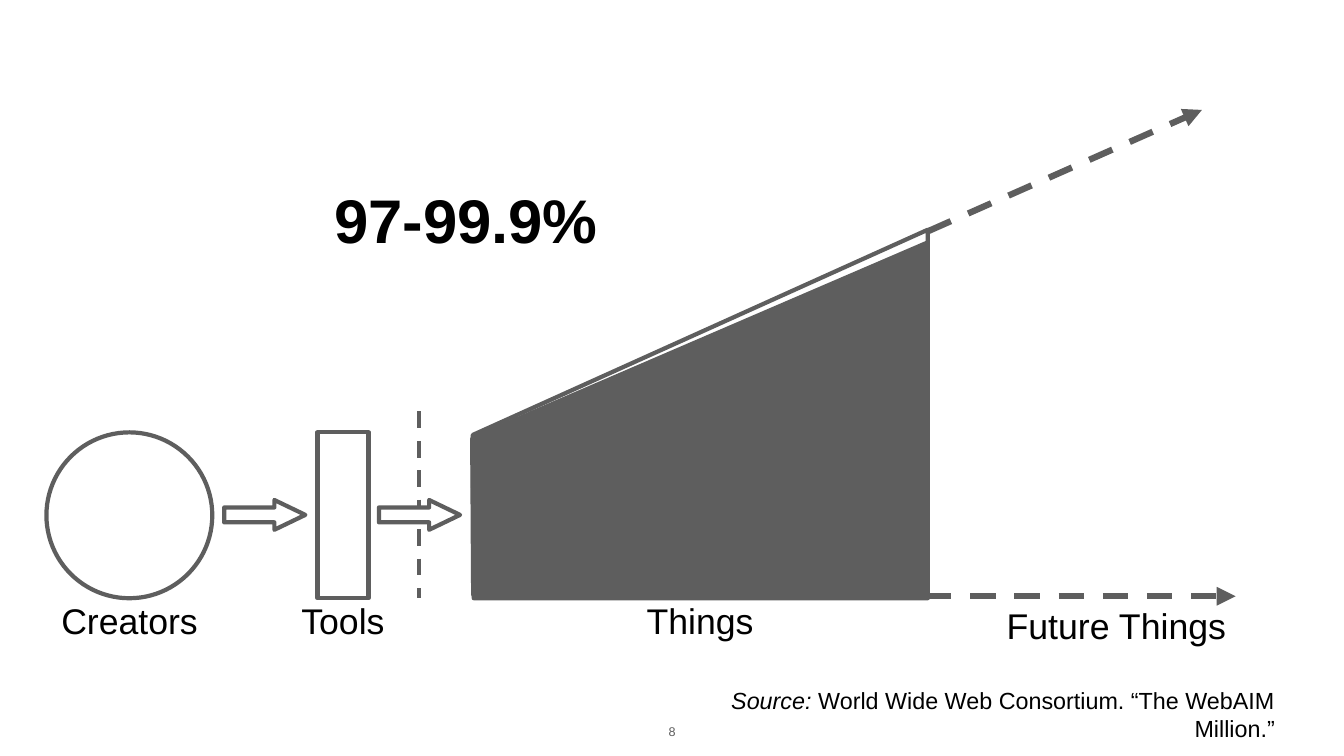
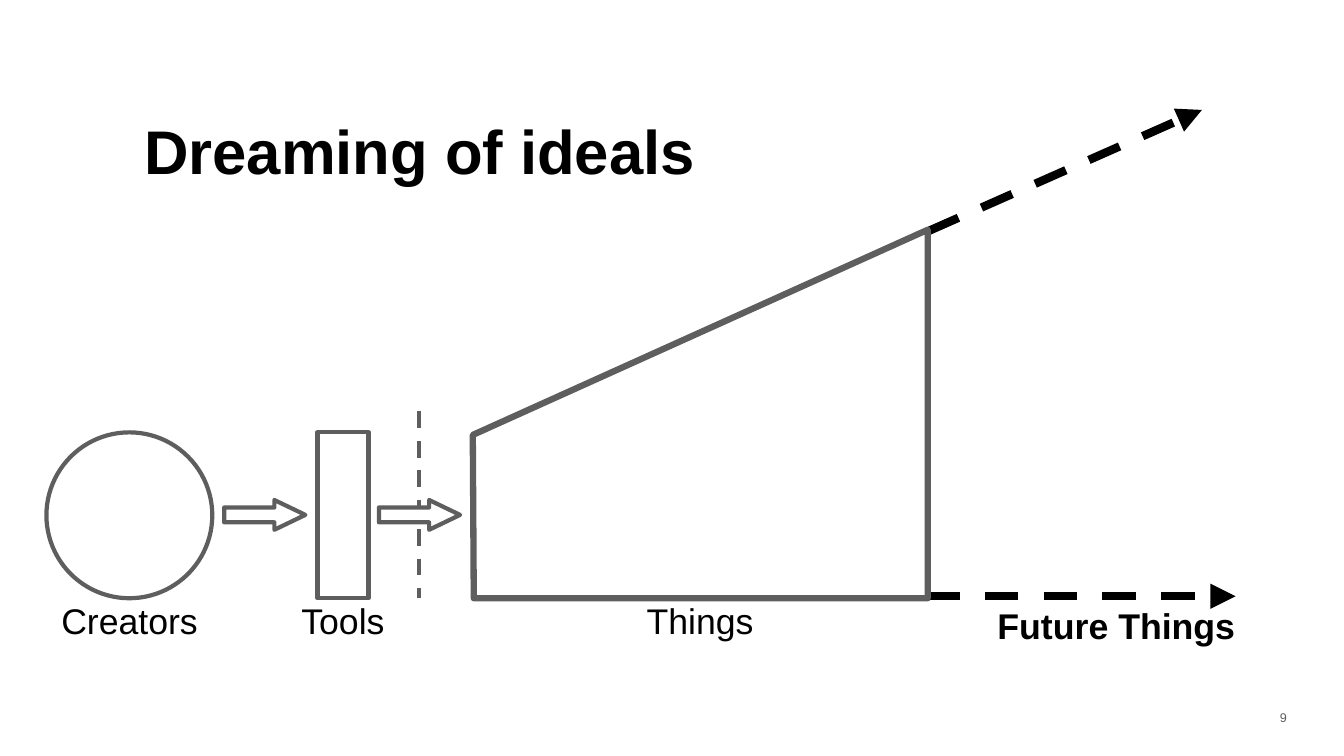
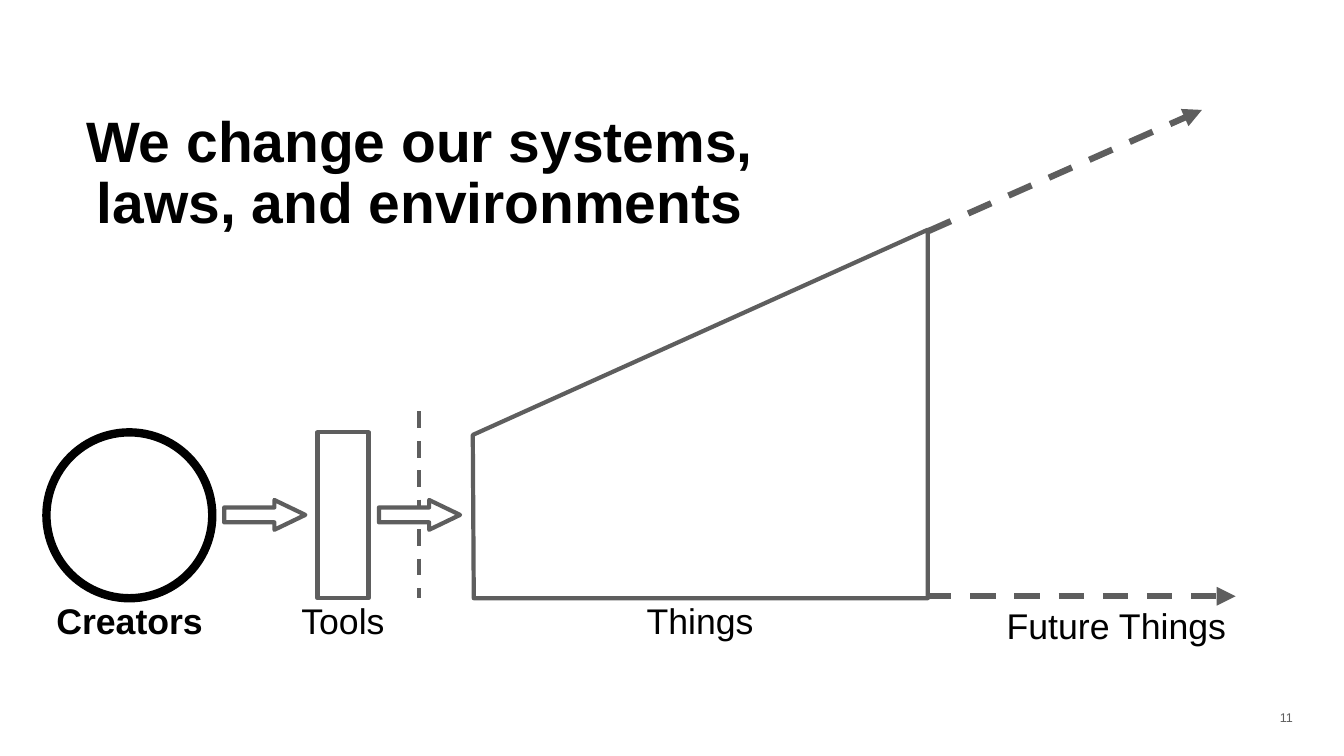
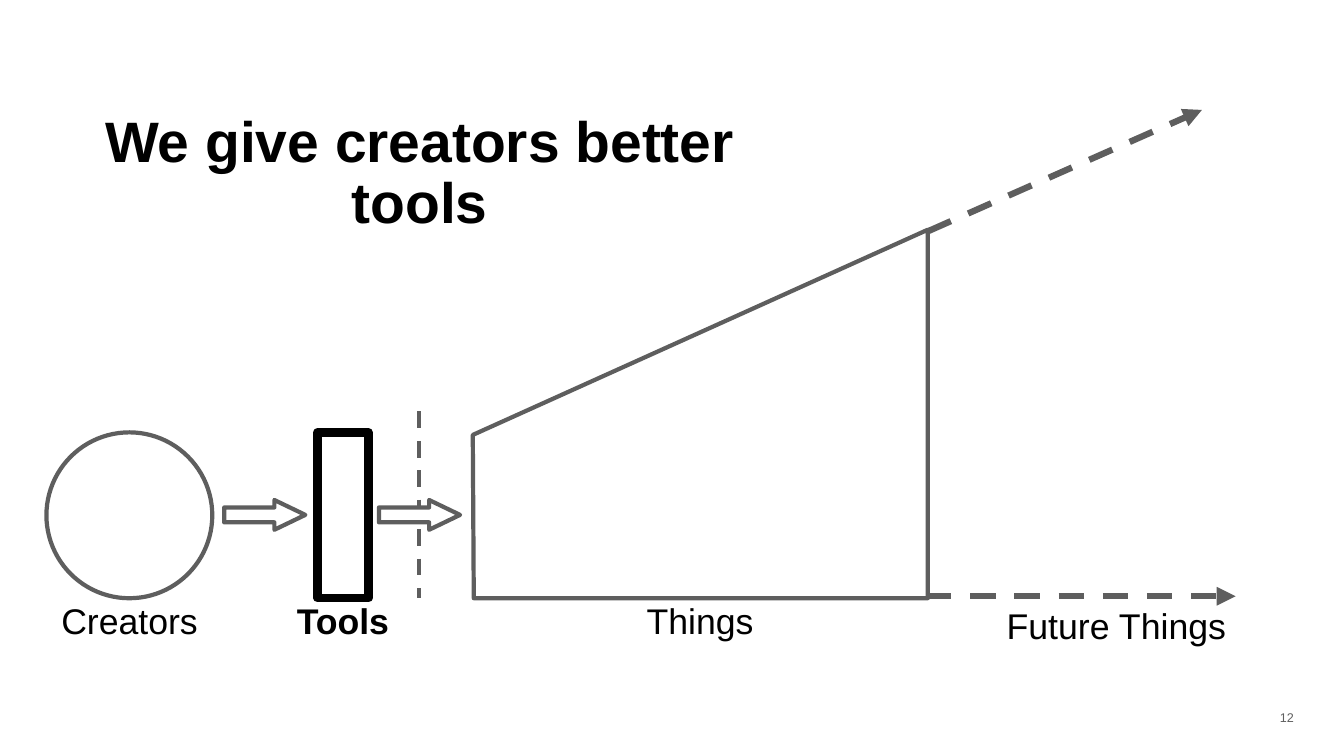
from dataclasses import dataclass
from typing import NamedTuple

from pptx import Presentation
from pptx.dml.color import RGBColor
from pptx.enum.dml import MSO_LINE
from pptx.enum.shapes import MSO_CONNECTOR, MSO_SHAPE
from pptx.enum.text import MSO_ANCHOR, MSO_AUTO_SIZE, PP_ALIGN
from pptx.oxml.ns import qn
from pptx.util import Cm, Pt
from lxml.etree import SubElement

COLORS = {"ink": "000000", "gray": "5E5E5E", "paper": "FFFFFF"}
FONT = "Arial"
THIN, MID, THICK = 6, 9, 12


class Box(NamedTuple):
    left: float
    top: float
    width: float
    height: float

    def emu(self) -> list:
        return [Cm(side) for side in self]


class Point(NamedTuple):
    x: float
    y: float


class Run(NamedTuple):
    text: str
    bold: bool = False
    italic: bool = False


@dataclass(frozen=True)
class Style:
    size: float
    align: PP_ALIGN = PP_ALIGN.CENTER
    spacing: float = 1.0
    color: str = "ink"
    inset: float = 0.15
    anchor: MSO_ANCHOR = MSO_ANCHOR.TOP


@dataclass(frozen=True)
class Label:
    text: str
    box: Box
    style: Style


@dataclass(frozen=True)
class Scene:
    title: str
    page: str
    focus: str = ""
    title_box: Box = Box(4.14, 5.54, 34.01, 7.59)
    title_style: Style = Style(81.4, spacing=0.9)
    page_box: Box = Box(63.73, 35.61, 1.68, 1.78)
    page_style: Style = Style(18, PP_ALIGN.LEFT, color="gray")
    wedge_line: float = THIN
    filled: bool = False
    source: tuple = ()


BASE = 30.15
NAME_TOP = 30.28
BODY_TOP, BODY_SIDE = 21.79, 8.36
NAME = Style(50.9, spacing=0.9)
BIG = Style(88)
SOURCE = Style(33.3, PP_ALIGN.RIGHT, inset=0.13)

LABELS = (
    Label("Creators", Box(1.6, NAME_TOP, 9.86, 2.92), NAME),
    Label("Tools", Box(10.92, NAME_TOP, 12.73, 2.92), NAME),
    Label("Things", Box(24.16, NAME_TOP, 22.25, 2.92), NAME),
    Label("Future Things", Box(45.59, NAME_TOP, 21.36, 3.71), Style(51)),
)
BODIES = {
    "Tools": (MSO_SHAPE.RECTANGLE, Box(16, BODY_TOP, 2.57, BODY_SIDE)),
    "Creators": (MSO_SHAPE.OVAL, Box(2.34, BODY_TOP, BODY_SIDE, BODY_SIDE)),
}
ARROWS = tuple(Box(left, 25.2, 4.09, 1.5) for left in (11.3, 19.1))
WEDGE = (Point(23.83, 21.92), Point(23.88, BASE),
         Point(46.76, BASE), Point(46.76, 11.58))
FILLED = (Point(23.8, 22.1), Point(23.85, 29.97),
          Point(46.71, 29.97), Point(46.71, 12.24))
BORDER = (Point(21.13, 20.73), Point(21.13, BASE))
RAYS = ((Point(46.76, 11.66), Point(60.58, 5.54)),
        (Point(46.68, 30.05), Point(62.28, 30.05)))
SOURCE_BOX = Box(33.86, 34.44, 30.53, 2.95)

SCENES = (
    Scene("97-99.9%", "8", title_box=Box(6.48, 9.02, 34.01, 7.59),
          title_style=BIG, page_box=Box(32.92, 35.61, 1.93, 1.78),
          page_style=Style(18, PP_ALIGN.LEFT, 0.9, "gray",
                           anchor=MSO_ANCHOR.BOTTOM),
          filled=True,
          source=(Run("Source: ", italic=True),
                  Run("World Wide Web Consortium. “The WebAIM Million.”"))),
    Scene("Dreaming of ideals", "9", "Future Things",
          title_style=BIG, wedge_line=MID),
    Scene("We change our systems, laws, and environments", "11", "Creators"),
    Scene("We give creators better tools", "12", "Tools"),
)


def rgb(name: str) -> RGBColor:
    return RGBColor.from_string(COLORS[name])


def write(shape, runs: tuple, style: Style):
    """Fill a text shape with one paragraph and return that paragraph."""
    frame = shape.text_frame
    frame.word_wrap = True
    frame.auto_size = MSO_AUTO_SIZE.NONE
    frame.vertical_anchor = style.anchor
    frame.margin_left = frame.margin_right = Cm(style.inset)
    frame.margin_top = frame.margin_bottom = Cm(style.inset)
    para = frame.paragraphs[0]
    para.alignment = style.align
    para.line_spacing = style.spacing
    para.space_before = Pt(0)
    for item in runs:
        run = para.add_run()
        run.text = item.text
        font = run.font
        font.name, font.size = FONT, Pt(style.size)
        font.bold, font.italic = item.bold, item.italic
        font.color.rgb = rgb(style.color)
    return para


def add_text(slide, box: Box, runs: tuple, style: Style):
    return write(slide.shapes.add_textbox(*box.emu()), runs, style)


def add_title(slide, scene: Scene) -> None:
    title = slide.shapes.title
    title.left, title.top, title.width, title.height = scene.title_box.emu()
    write(title, (Run(scene.title, bold=True),), scene.title_style)


def add_page(slide, scene: Scene) -> None:
    para = add_text(slide, scene.page_box, (Run(scene.page),),
                    scene.page_style)
    props = para._p.get_or_add_pPr()
    props.set("marL", str(Cm(1.27)))
    props.set("indent", str(-Cm(0.64)))


def paint(shape, fill: str = "paper", line: str = "gray",
          width: float = THIN) -> None:
    shape.shadow.inherit = False
    shape.fill.solid()
    shape.fill.fore_color.rgb = rgb(fill)
    shape.line.color.rgb = rgb(line)
    shape.line.width = Pt(width)


def add_body(slide, name: str, focus: str) -> None:
    kind, box = BODIES[name]
    shape = slide.shapes.add_shape(kind, *box.emu())
    if name == focus:
        paint(shape, line="ink", width=THICK)
    else:
        paint(shape)


def add_arrow(slide, box: Box) -> None:
    arrow = slide.shapes.add_shape(MSO_SHAPE.RIGHT_ARROW, *box.emu())
    arrow.adjustments[1] = 1.04
    paint(arrow)


def add_wedge(slide, points: tuple, fill: str, width: float) -> None:
    first, *rest = [(Cm(x), Cm(y)) for x, y in points]
    outline = slide.shapes.build_freeform(*first)
    outline.add_line_segments(rest, close=True)
    paint(outline.convert_to_shape(), fill, width=width)


def add_dash(slide, ends: tuple, color: str, width: float,
             head: bool = False) -> None:
    start, end = ends
    dash = slide.shapes.add_connector(
        MSO_CONNECTOR.STRAIGHT, Cm(start.x), Cm(start.y), Cm(end.x), Cm(end.y))
    line = dash.line
    line.color.rgb = rgb(color)
    line.width = Pt(width)
    line.dash_style = MSO_LINE.DASH
    if head:
        SubElement(line._get_or_add_ln(), qn("a:tailEnd"), type="triangle")
    SubElement(dash._element.spPr, qn("a:effectLst"))


def add_rays(slide, bold: bool) -> None:
    color, width = ("ink", THICK) if bold else ("gray", MID)
    for ends in RAYS:
        add_dash(slide, ends, color, width, head=True)


def draw(slide, scene: Scene) -> None:
    future = scene.focus == "Future Things"
    add_title(slide, scene)
    if future:
        add_rays(slide, True)
    for name in BODIES:
        add_body(slide, name, scene.focus)
    add_wedge(slide, WEDGE, "paper", scene.wedge_line)
    add_dash(slide, BORDER, "gray", THIN)
    for box in ARROWS:
        add_arrow(slide, box)
    if not future:
        add_rays(slide, False)
    for label in LABELS:
        run = Run(label.text, bold=label.text == scene.focus)
        add_text(slide, label.box, (run,), label.style)
    if scene.source:
        add_text(slide, SOURCE_BOX, scene.source, SOURCE)
    add_page(slide, scene)
    if scene.filled:
        add_wedge(slide, FILLED, "gray", THIN)


def main() -> None:
    deck = Presentation()
    deck.slide_width, deck.slide_height = Cm(67.74), Cm(38.1)
    layout = deck.slide_layouts.get_by_name("Title Only")
    for scene in SCENES:
        draw(deck.slides.add_slide(layout), scene)
    deck.save("out.pptx")


if __name__ == "__main__":
    main()
